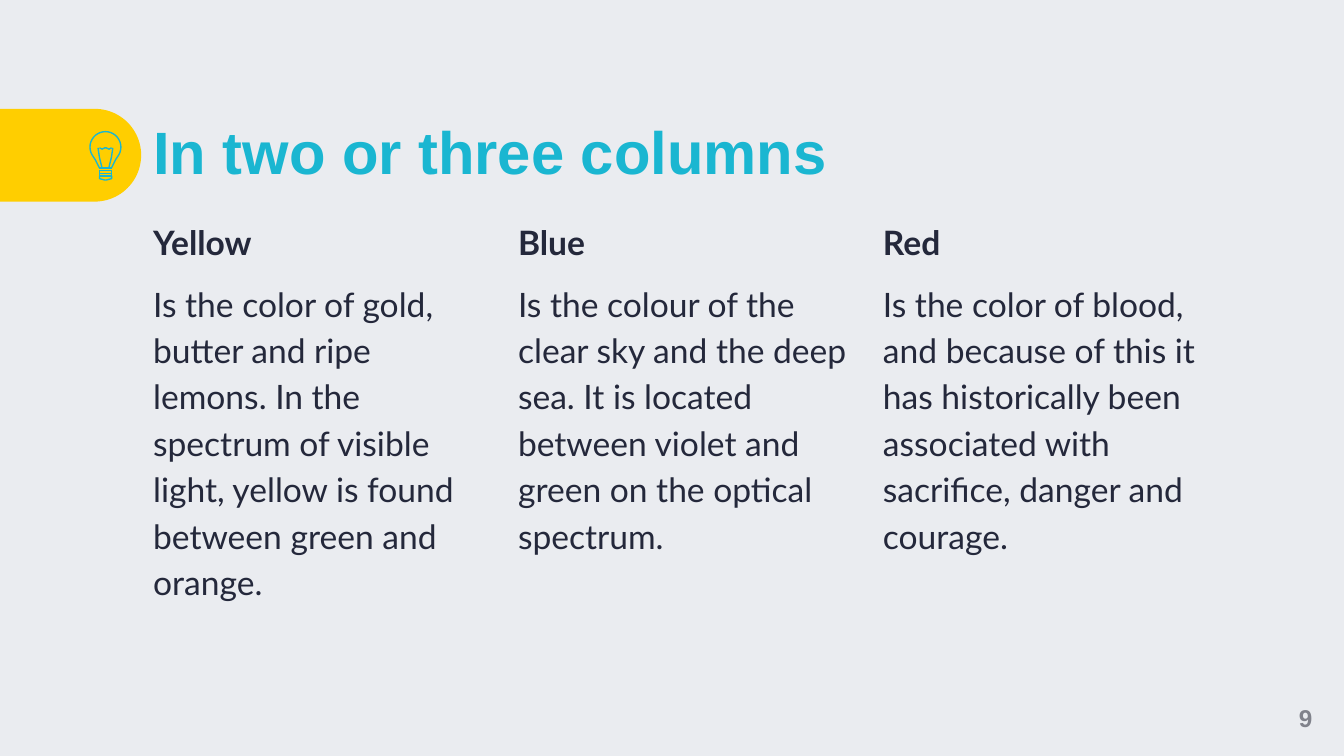
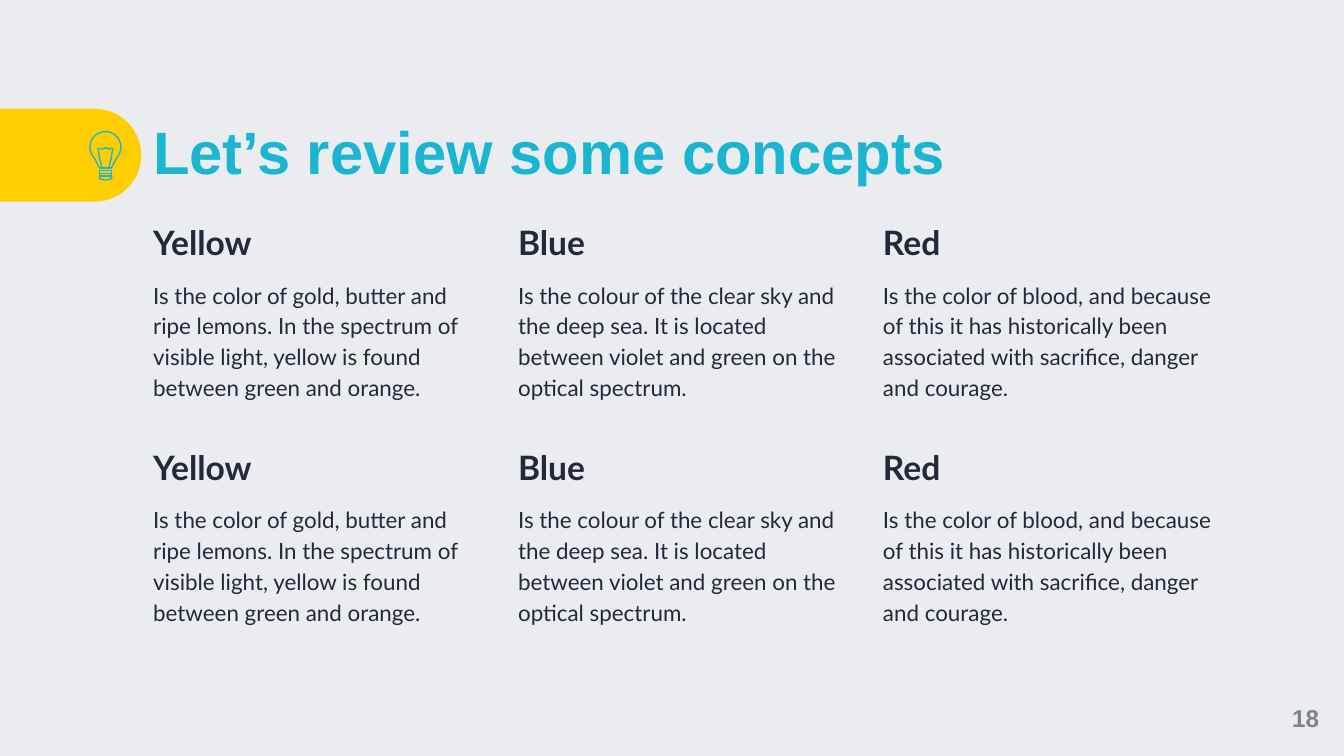
import math
from dataclasses import dataclass

import pptx
import pptx.dml.color
import pptx.enum.shapes
import pptx.enum.text
import pptx.util
from lxml import etree

Inches = pptx.util.Inches
Pt = pptx.util.Pt
RGBColor = pptx.dml.color.RGBColor
MSO_ANCHOR = pptx.enum.text.MSO_ANCHOR
PP_ALIGN = pptx.enum.text.PP_ALIGN

BACKGROUND = RGBColor(0xEA, 0xEC, 0xF0)
YELLOW = RGBColor(0xFF, 0xCE, 0x00)
TEAL = RGBColor(0x1A, 0xB6, 0xD1)
INK = RGBColor(0x24, 0x28, 0x3B)
GREY = RGBColor(0x80, 0x82, 0x8B)

TITLE_FONT = "Arial"
BODY_FONT = "Lato"
HEADING_SIZE = 18

SLIDE_WIDTH = Inches(10)
SLIDE_HEIGHT = SLIDE_WIDTH * 9 // 16
FIRST_LEFT, LAST_LEFT = 1.14, 6.57
COLUMN_WIDTH = 2.46
BULB_LEFT, BULB_RIGHT = 0.67, 0.9
BULB_TOP = 0.98
BULB_X = (BULB_LEFT + BULB_RIGHT) / 2
BULB_RADIUS = (BULB_RIGHT - BULB_LEFT) / 2
BULB_Y = BULB_TOP + BULB_RADIUS
DRAWING_NS = "http://schemas.openxmlformats.org/drawingml/2006/main"

Point = tuple[float, float]


@dataclass(frozen=True)
class Concept:
    heading: str
    text: str


@dataclass(frozen=True)
class Page:
    title: str
    number: int
    row_tops: tuple[float, ...]
    row_height: float
    text_size: int


@dataclass(frozen=True)
class Stroke:
    points: list[Point]
    closed: bool = False


CONCEPTS = (
    Concept("Yellow", "Is the color of gold, butter and ripe lemons. In the spectrum "
            "of visible light, yellow is found between green and orange."),
    Concept("Blue", "Is the colour of the clear sky and the deep sea. It is located "
            "between violet and green on the optical spectrum."),
    Concept("Red", "Is the color of blood, and because of this it has historically "
            "been associated with sacrifice, danger and courage."),
)

PAGES = (
    Page("In two or three columns", 9, (1.61,), 3.29, 18),
    Page("Let’s review some concepts", 18, (1.61, 3.28), 1.59, 12),
)


def mirrored(points: list[Point]) -> list[Point]:
    """Reflect points across the bulb's vertical axis, in reverse order."""
    return [(2 * BULB_X - x, y) for x, y in reversed(points)]


def box(left: float, top: float, right: float, bottom: float) -> Stroke:
    return Stroke([(right, bottom), (right, top), (left, top), (left, bottom)], True)


def bulb_strokes() -> list[Stroke]:
    glass = [
        (BULB_X + BULB_RADIUS * math.cos(math.radians(angle)),
         BULB_Y + BULB_RADIUS * math.sin(math.radians(angle)))
        for angle in range(150, 391, 10)
    ]
    neck = [(0.74, 1.25), (0.73, 1.23), (0.71, 1.19)]
    cap = [(0.74, 1.31), (0.74, 1.33), (0.78, 1.34)]
    support = [(0.76, 1.25), (0.74, 1.17), (0.73, 1.1)]
    filament = [(0.74, 1.1), (0.76, 1.11), (0.78, 1.1)]
    return [
        box(0.74, 1.29, 0.83, 1.31),
        box(0.74, 1.27, 0.83, 1.29),
        Stroke(cap + mirrored(cap), True),
        Stroke(support),
        Stroke(neck + glass + mirrored(neck)),
        Stroke(mirrored(support)),
        Stroke(filament + mirrored(filament)),
    ]


def add_bulb(slide) -> None:
    shapes = slide.shapes.add_group_shape().shapes
    for stroke in bulb_strokes():
        points = [(Inches(x), Inches(y)) for x, y in stroke.points]
        builder = shapes.build_freeform(*points[0])
        builder.add_line_segments(points[1:], close=stroke.closed)
        sp = builder.convert_to_shape()
        sp.shadow.inherit = False
        sp.fill.background()
        sp.line.color.rgb = TEAL
        sp.line.width = Pt(0.75)
    rim = shapes.add_connector(
        pptx.enum.shapes.MSO_CONNECTOR.STRAIGHT,
        Inches(0.74), Inches(1.25), Inches(0.83), Inches(1.25))
    rim.line.color.rgb = TEAL
    rim.line.width = Pt(0.75)
    etree.SubElement(rim._element.spPr, f"{{{DRAWING_NS}}}effectLst")


def add_text_frame(slide, left: float, top: float, width: float, height: float,
                   anchor=MSO_ANCHOR.TOP):
    tf = slide.shapes.add_textbox(
        Inches(left), Inches(top), Inches(width), Inches(height)).text_frame
    tf.word_wrap = True
    tf.vertical_anchor = anchor
    tf.margin_left = tf.margin_right = tf.margin_top = tf.margin_bottom = 0
    return tf


def write(p, text: str, *, size: float, color: RGBColor, font: str,
          bold: bool = False, align=PP_ALIGN.LEFT, line_spacing: float = 1.0,
          space_before: float = 0) -> None:
    p.alignment = align
    p.line_spacing = line_spacing
    p.space_before = Pt(space_before)
    r = p.add_run()
    r.text = text
    r.font.size = Pt(size)
    r.font.name = font
    r.font.bold = bold
    r.font.color.rgb = color


def add_tab(slide) -> None:
    sp = slide.shapes.add_shape(
        pptx.enum.shapes.MSO_SHAPE.ROUND_2_SAME_RECTANGLE,
        Inches(0.18), Inches(0.63), Inches(0.69), Inches(1.05))
    sp.rotation = 90
    sp.adjustments[0] = 0.5
    sp.adjustments[1] = 0
    sp.shadow.inherit = False
    sp.fill.solid()
    sp.fill.fore_color.rgb = YELLOW
    sp.line.fill.background()


def add_frame(slide, page: Page) -> None:
    """Draw the background, tab, title, page number and bulb."""
    slide.background.fill.solid()
    slide.background.fill.fore_color.rgb = BACKGROUND
    add_tab(slide)
    tf = add_text_frame(slide, FIRST_LEFT, 0.81, 7.88, 0.69, MSO_ANCHOR.MIDDLE)
    write(tf.paragraphs[0], page.title, size=32, color=TEAL, font=TITLE_FONT,
          bold=True, line_spacing=0.9)
    tf = add_text_frame(slide, 9.43, 5.06, 0.57, 0.56, MSO_ANCHOR.MIDDLE)
    write(tf.paragraphs[0], str(page.number), size=13, color=GREY,
          font=TITLE_FONT, bold=True, align=PP_ALIGN.CENTER)
    add_bulb(slide)


def add_concept_row(slide, top: float, page: Page) -> None:
    step = (LAST_LEFT - FIRST_LEFT) / (len(CONCEPTS) - 1)
    for column, concept in enumerate(CONCEPTS):
        tf = add_text_frame(slide, FIRST_LEFT + column * step, top,
                            COLUMN_WIDTH, page.row_height)
        write(tf.paragraphs[0], concept.heading, size=HEADING_SIZE, color=INK,
              font=BODY_FONT, bold=True, line_spacing=1.15)
        write(tf.add_paragraph(), concept.text, size=page.text_size, color=INK,
              font=BODY_FONT, line_spacing=1.15, space_before=8)


def main() -> None:
    prs = pptx.Presentation()
    prs.slide_width, prs.slide_height = SLIDE_WIDTH, SLIDE_HEIGHT
    for page in PAGES:
        slide = prs.slides.add_slide(prs.slide_layouts[6])
        add_frame(slide, page)
        for top in page.row_tops:
            add_concept_row(slide, top, page)
    prs.save("out.pptx")


if __name__ == "__main__":
    main()
